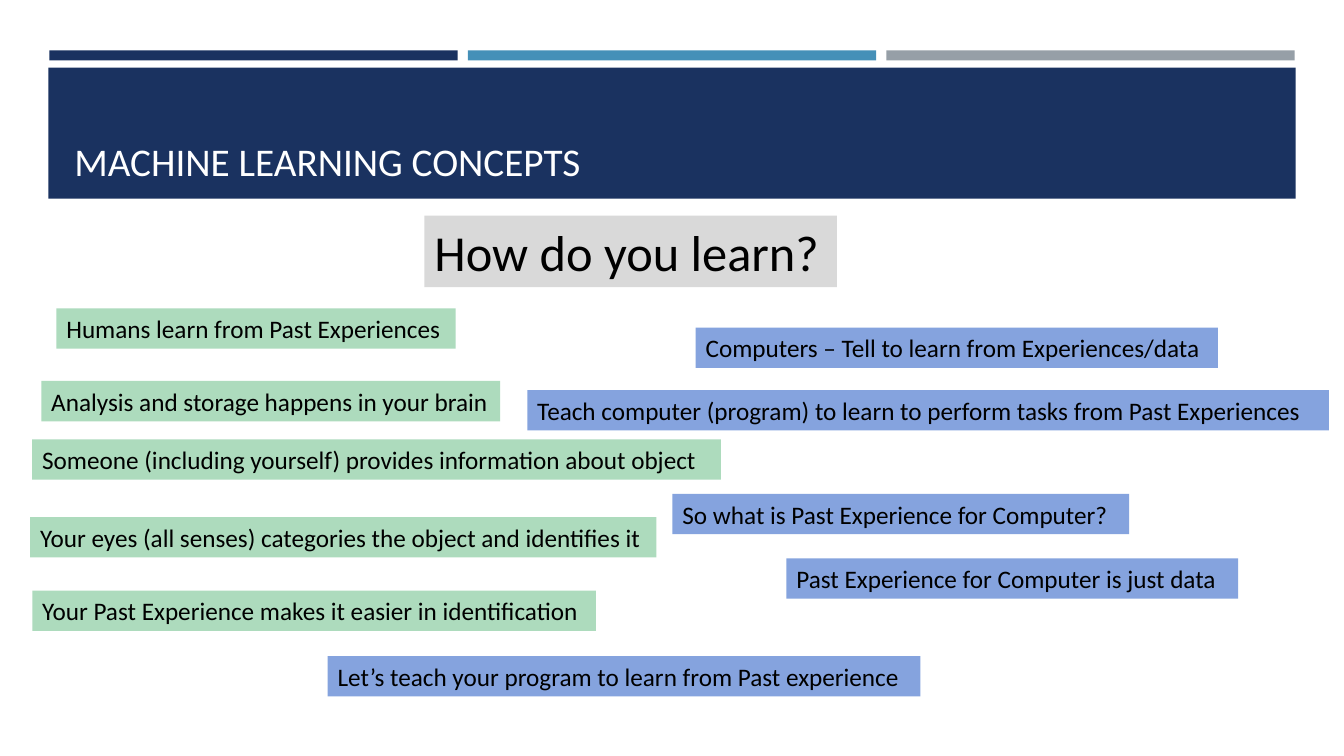
import pptx
import pptx.util
import pptx.dml.color
import pptx.enum.shapes
import pptx.enum.text

Inches = pptx.util.Inches
Anchor = pptx.enum.text.MSO_ANCHOR

HUES = {
    "navy": "1A3260",
    "blue": "4590B8",
    "gray": "969FA7",
    "pale": "D9D9D9",
    "green": "ADDBBD",
    "sky": "85A3DE",
    "white": "FFFFFF",
    "black": "000000",
}

HUMAN = [
    (0.56, 3.06, 3.96, "Humans learn from Past Experiences"),
    (0.41, 3.78, 4.55, "Analysis and storage happens in your brain"),
    (0.32, 4.36, 6.83, "Someone (including yourself) provides information about object"),
    (0.3, 5.13, 6.21, "Your eyes (all senses) categories the object and identifies it"),
    (0.32, 5.86, 5.59, "Your Past Experience makes it easier in identification"),
]

COMPUTER = [
    (6.9, 3.25, 5.18, "Computers – Tell to learn from Experiences/data"),
    (5.23, 3.87, 7.95, "Teach computer (program) to learn to perform tasks from Past Experiences"),
    (6.67, 4.9, 4.53, "So what is Past Experience for Computer?"),
    (7.8, 5.54, 4.48, "Past Experience for Computer is just data"),
    (3.25, 6.51, 5.88, "Let’s teach your program to learn from Past experience"),
]


class Painter:
    font = "Calibri"

    def __init__(self, slide):
        self.slide = slide

    def hue(self, name):
        return pptx.dml.color.RGBColor.from_string(HUES[name])

    def tint(self, shape, name):
        shape.fill.solid()
        shape.fill.fore_color.rgb = self.hue(name)

    def bar(self, left, top, width, height, fill):
        kind = pptx.enum.shapes.MSO_SHAPE.RECTANGLE
        shape = self.slide.shapes.add_shape(
            kind, Inches(left), Inches(top), Inches(width), Inches(height))
        shape.shadow.inherit = False
        self.tint(shape, fill)
        shape.line.fill.background()

    def label(self, left, top, width, height, text, size=18,
              fill=None, color="black", anchor=Anchor.TOP):
        box = self.slide.shapes.add_textbox(
            Inches(left), Inches(top), Inches(width), Inches(height))
        if fill:
            self.tint(box, fill)
        frame = box.text_frame
        frame.word_wrap = True
        frame.margin_right = 0
        frame.vertical_anchor = anchor
        frame.text = text
        for run in frame.paragraphs[0].runs:
            run.font.name = self.font
            run.font.size = pptx.util.Pt(size)
            run.font.color.rgb = self.hue(color)


def main():
    deck = pptx.Presentation()
    deck.slide_width = Inches(13.33)
    deck.slide_height = Inches(7.5)
    paint = Painter(deck.slides.add_slide(deck.slide_layouts[6]))

    for col, fill in enumerate(["navy", "blue", "gray"]):
        paint.bar(0.49 + 4.15 * col, 0.5, 4.05, 0.1, fill)
    paint.bar(0.48, 0.67, 12.37, 1.3, "navy")
    paint.label(0.64, 0.77, 12.06, 1.11, "MACHINE LEARNING CONCEPTS",
                size=28, color="white", anchor=Anchor.BOTTOM)
    paint.label(4.21, 2.14, 4.09, 0.71, "How do you learn?", size=36, fill="pale")

    for fill, notes in [("green", HUMAN), ("sky", COMPUTER)]:
        for left, top, width, text in notes:
            paint.label(left, top, width, 0.4, text, fill=fill)

    deck.save("out.pptx")


if __name__ == "__main__":
    main()
